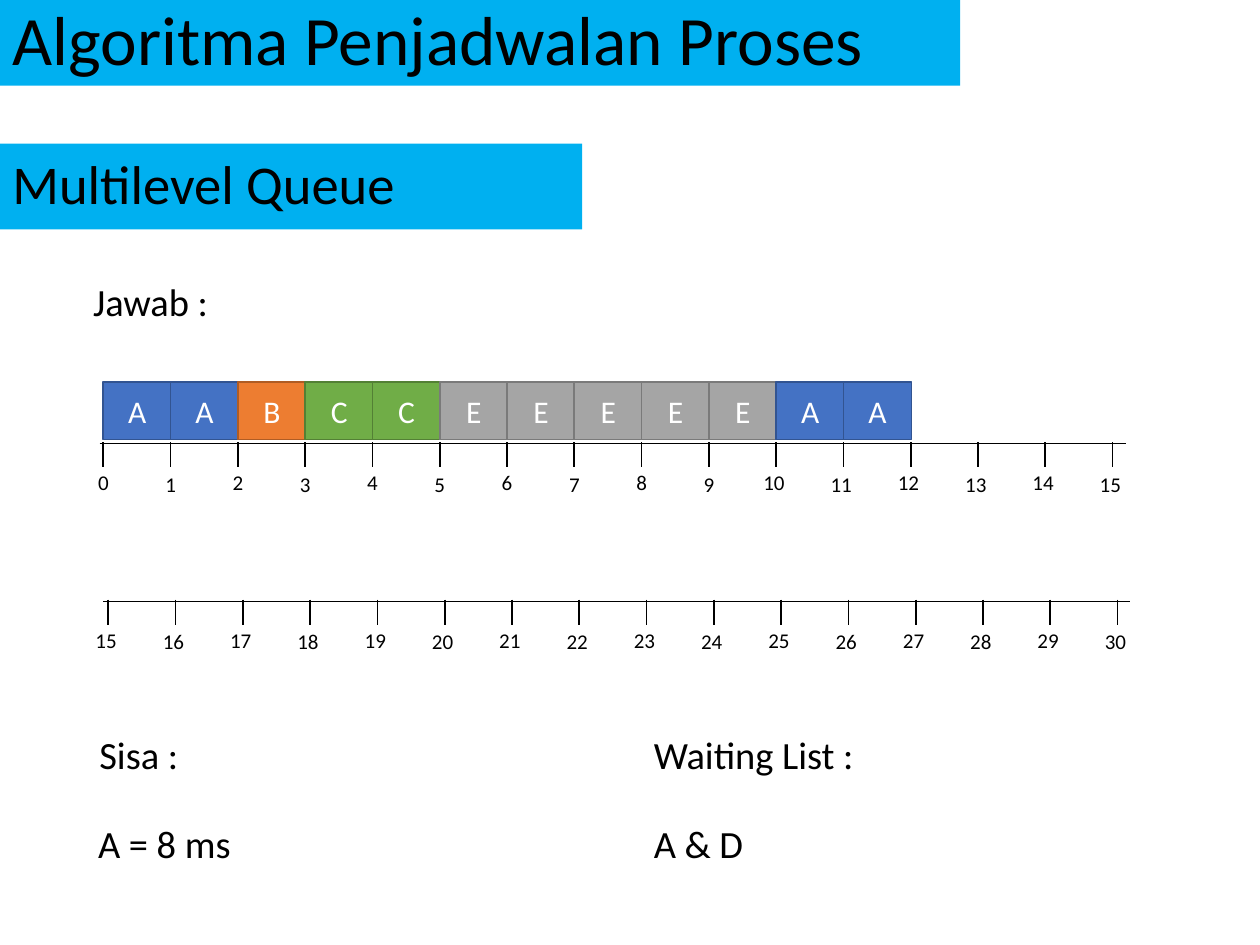
from lxml.etree import SubElement
from pptx import Presentation
from pptx.dml.color import RGBColor as Rgb
from pptx.enum.shapes import MSO_CONNECTOR as Conn, MSO_SHAPE as Shape
from pptx.enum.text import MSO_ANCHOR as Anchor, MSO_AUTO_SIZE as Auto, PP_ALIGN as Align
from pptx.oxml.ns import qn
from pptx.util import Inches, Pt

COLORS = {"band": "00B0F0", "ink": "000000", "white": "FFFFFF"}
JOBS = {
    "A": ("4472C4", "325491"),
    "B": ("ED7D31", "AF5C24"),
    "C": ("70AD47", "538035"),
    "E": ("A5A5A5", "7A7A7A"),
}
ORDER = "AABCCEEEEEAA"
STEP = 0.534
NOTES = [
    (0.64, 2.16, 1.98, "Jawab :"),
    (0.69, 5.75, 1.98, "Sisa :"),
    (5.09, 5.75, 1.98, "Waiting List :"),
    (0.68, 6.46, 2.85, "A = 8 ms"),
    (5.09, 6.46, 1.98, "A & D"),
]


def write(shape, text, size, align=Align.LEFT, color=COLORS["ink"], space=None):
    frame = shape.text_frame
    frame.word_wrap = True
    para = frame.paragraphs[0]
    para.alignment = align
    para.line_spacing = space
    run = para.add_run()
    run.text = text
    run.font.name = "Calibri"
    run.font.size = Pt(size)
    run.font.color.rgb = Rgb.from_string(color)


def paint(shape, color):
    shape.fill.solid()
    shape.fill.fore_color.rgb = Rgb.from_string(color)


def add_rect(slide, x, y, w, h, color):
    rect = slide.shapes.add_shape(
        Shape.RECTANGLE, Inches(x), Inches(y), Inches(w), Inches(h))
    rect.shadow.inherit = False
    paint(rect, color)
    rect.line.fill.background()
    return rect


def add_head(shape, text, size):
    shape.text_frame.auto_size = Auto.NONE
    shape.text_frame.vertical_anchor = Anchor.MIDDLE
    write(shape, text, size, space=0.9)


def add_title(slide, text):
    title = slide.shapes.title
    title.left, title.top = Inches(0), Inches(0)
    title.width, title.height = Inches(7.62), Inches(0.68)
    paint(title, COLORS["band"])
    add_head(title, text, 39.6)


def add_text(slide, x, y, w, h, text, size, align=Align.LEFT):
    box = slide.shapes.add_textbox(Inches(x), Inches(y), Inches(w), Inches(h))
    write(box, text, size, align)
    box.text_frame.auto_size = Auto.SHAPE_TO_FIT_TEXT


def add_line(slide, x1, y1, x2, y2, width):
    line = slide.shapes.add_connector(
        Conn.STRAIGHT, Inches(x1), Inches(y1), Inches(x2), Inches(y2))
    line.line.color.rgb = Rgb.from_string(COLORS["ink"])
    line.line.width = Pt(width)
    SubElement(line._element.spPr, qn("a:effectLst"))


def add_axis(slide, left, top, zero, first):
    add_line(slide, left, top, left + 8.15, top, 0.5)
    for i in range(16):
        x = zero + i * STEP
        add_line(slide, x, top - 0.01, x, top + 0.19, 1)
        label = str(first + i)
        shift, wide = (0.14, 0.33) if len(label) == 1 else (0.2, 0.4)
        add_text(slide, x - shift, top + 0.16 + i % 2 * 0.01, wide, 0.3, label, 12)


def add_job(slide, slot, name):
    fill, edge = JOBS[name]
    rect = add_rect(slide, 0.82 + slot * STEP, 3.03, 0.54, 0.46, fill)
    rect.line.color.rgb = Rgb.from_string(edge)
    rect.line.width = Pt(1)
    rect.text_frame.vertical_anchor = Anchor.MIDDLE
    write(rect, name, 18, Align.CENTER, COLORS["white"])


def main():
    deck = Presentation()
    deck.slide_width, deck.slide_height = Inches(10), Inches(7.5)
    slide = deck.slides.add_slide(deck.slide_layouts[5])
    add_title(slide, "Algoritma Penjadwalan Proses")
    band = add_rect(slide, 0, 1.14, 4.62, 0.68, COLORS["band"])
    add_head(band, "Multilevel Queue", 31.2)
    add_axis(slide, 0.79, 3.52, 0.82, 0)
    add_axis(slide, 0.82, 4.77, 0.86, 15)
    for x, y, w, text in NOTES:
        add_text(slide, x, y, w, 0.47, text, 22, Align.JUSTIFY)
    for slot, name in enumerate(ORDER):
        add_job(slide, slot, name)
    deck.save("out.pptx")


if __name__ == "__main__":
    main()
